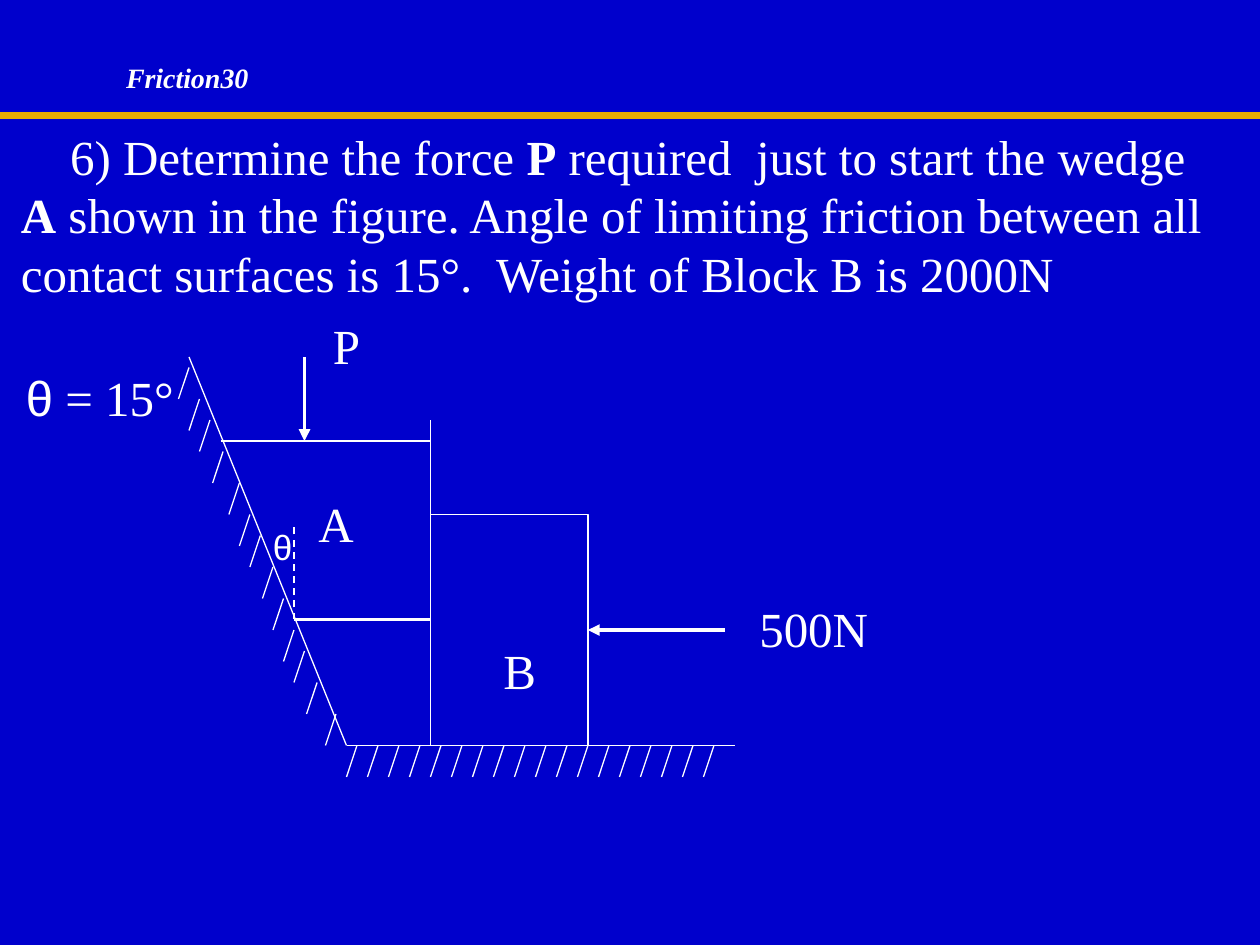
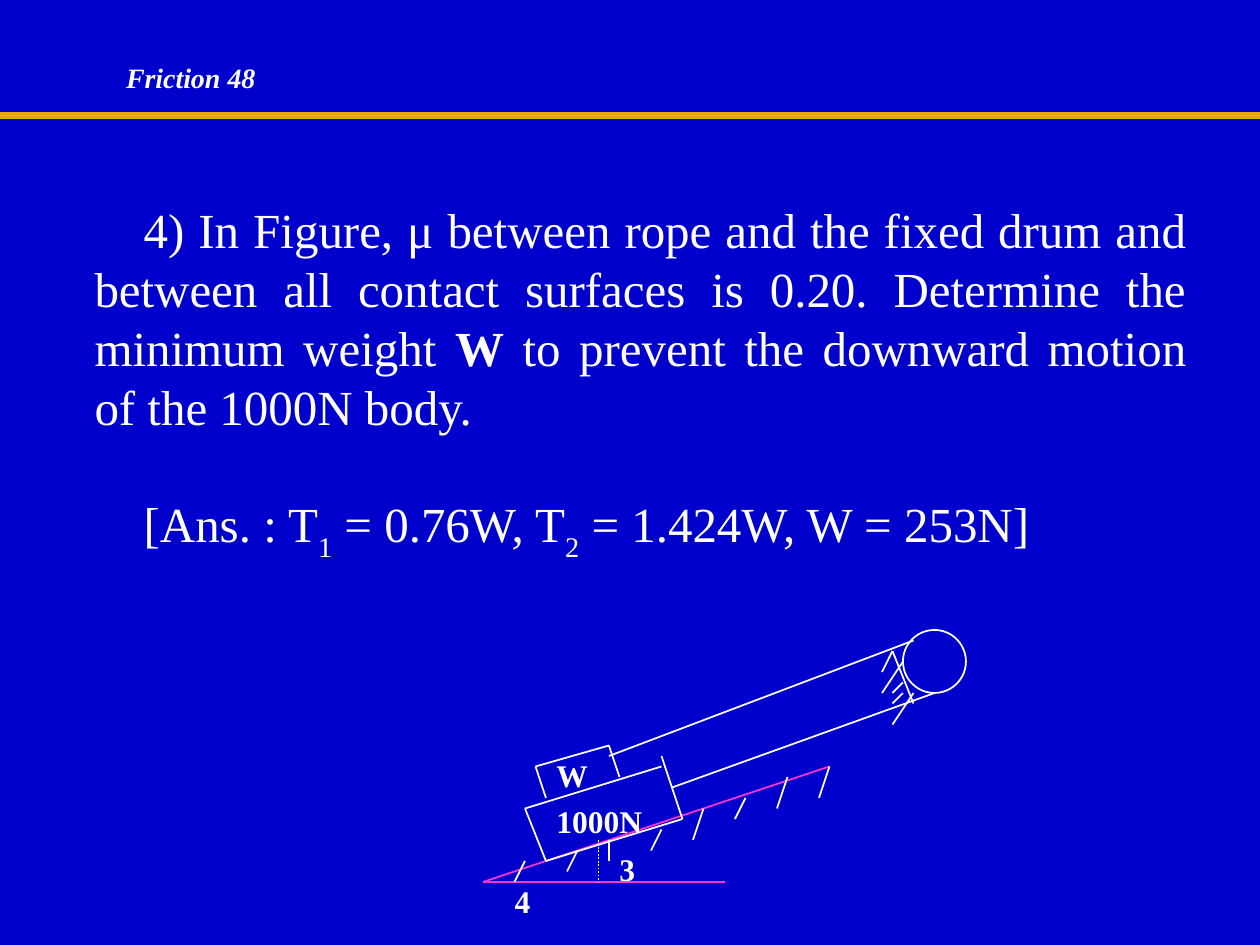
from pptx import Presentation
from pptx.dml.color import RGBColor
from pptx.enum.dml import MSO_LINE
from pptx.enum.shapes import MSO_CONNECTOR, MSO_SHAPE
from pptx.enum.text import MSO_ANCHOR, MSO_AUTO_SIZE, PP_ALIGN
from pptx.oxml.ns import qn
from pptx.util import Inches, Pt

BLUE = RGBColor(0x00, 0x00, 0xCC)
GOLD = RGBColor(0xE8, 0xAB, 0x00)
WHITE = RGBColor(0xFF, 0xFF, 0xFF)
PINK = RGBColor(0xFF, 0x33, 0xCC)

SERIF, SANS = "Times New Roman", "Arial"
LEFT, CENTER, JUSTIFY = PP_ALIGN.LEFT, PP_ALIGN.CENTER, PP_ALIGN.JUSTIFY
STRAIGHT = MSO_CONNECTOR.STRAIGHT
RECTANGLE, OVAL = MSO_SHAPE.RECTANGLE, MSO_SHAPE.OVAL
DASH, DOTS = MSO_LINE.DASH, MSO_LINE.ROUND_DOT
TOP, NO_AUTOSIZE = MSO_ANCHOR.TOP, MSO_AUTO_SIZE.NONE

COLUMNS, ROWS = 120, 90
CELL = Inches(10) // COLUMNS
THICK = 2.25
RIGHT_SIDE = 3


def add_run(p, text, size, font=SERIF, bold=False, italic=False, subscript=False):
    """Add one white run to a paragraph."""
    r = p.add_run()
    r.text = text
    r.font.name, r.font.size = font, Pt(size)
    r.font.bold, r.font.italic = bold, italic
    r.font.color.rgb = WHITE
    if subscript:
        r.font._element.set("baseline", "-30000")


def clear_frame(sp):
    """Return the shape's text frame, wrapped, top-anchored and without insets."""
    tf = sp.text_frame
    tf.word_wrap, tf.auto_size, tf.vertical_anchor = True, NO_AUTOSIZE, TOP
    tf.margin_left = tf.margin_top = tf.margin_right = tf.margin_bottom = 0
    return tf


class Region:
    """A part of a slide, measured in grid cells from its own corner."""

    def __init__(self, slide, left=0, top=0, weight=1):
        """Place the corner of the region and set its usual line weight."""
        self.shapes, self.left, self.top, self.weight = slide.shapes, left, top, weight

    def point(self, col, row):
        """Turn a cell position into a slide position."""
        return round((self.left + col) * CELL), round((self.top + row) * CELL)

    def line(self, start, end, color=WHITE, weight=None, dash=None, arrow=False):
        """Draw a straight line, with an arrowhead at its end if asked."""
        s = self.shapes.add_connector(STRAIGHT, *self.point(*start), *self.point(*end))
        s.line.color.rgb, s.line.width = color, Pt(weight or self.weight)
        if dash:
            s.line.dash_style = dash
        if arrow:
            ln = s.line._get_or_add_ln()
            ln.append(ln.makeelement(qn("a:tailEnd"), {"type": "triangle"}))
        spPr = s._element.spPr
        spPr.append(spPr.makeelement(qn("a:effectLst"), {}))
        return s

    def outline(self, *points):
        """Join successive points with lines."""
        for start, end in zip(points, points[1:]):
            self.line(start, end)

    def hatch(self, starts, across=-1, down=3):
        """Draw equal hatch strokes from each starting point."""
        for col, row in starts:
            self.line((col, row), (col + across, row + down))

    def shape(self, kind, col, row, width, height):
        """Draw an unfilled shape."""
        s = self.shapes.add_shape(kind, *self.point(col, row), width * CELL, height * CELL)
        s.shadow.inherit = False
        s.fill.background()
        s.line.color.rgb, s.line.width = WHITE, Pt(self.weight)
        return s

    def frame(self, col, row, width, height):
        """Add an empty text box and return its text frame."""
        return clear_frame(self.shapes.add_textbox(
            *self.point(col, row), round(width * CELL), round(height * CELL)))

    def label(self, text, col, row, width, size=28, align=CENTER, font=SERIF, bold=False):
        """Add a one-line label and return its paragraph."""
        p = self.frame(col, row, width, size / 5).paragraphs[0]
        p.alignment = align
        add_run(p, text, size, font, bold)
        return p


def add_problem_slide(prs, title):
    """Add a title-only slide with the shared title and gold rule."""
    slide = prs.slides.add_slide(prs.slide_layouts[5])
    s = slide.shapes.title
    s.left, s.top, s.width, s.height = Inches(1), Inches(0.48), Inches(1.67), Inches(0.27)
    p = clear_frame(s).paragraphs[0]
    p.alignment = LEFT
    add_run(p, title, 16, bold=True, italic=True)
    Region(slide).line((0, 11), (COLUMNS, 11), GOLD, 4.5)
    return slide


def add_statement(region, width, height, paragraphs, align=LEFT):
    """Write paragraphs of (text, format) runs with an indented first line."""
    tf = region.frame(0, 0, width, height)
    for i, runs in enumerate(paragraphs):
        p = tf.add_paragraph() if i else tf.paragraphs[0]
        p.alignment = align
        p._p.get_or_add_pPr().set("indent", str(Inches(0.39)))
        if i:
            p.space_before = Pt(33.5)
        for text, style in runs:
            add_run(p, text, 28, **style)


def draw_wedge(fig):
    """Draw wedge A between the sloping wall and block B."""
    fig.line((18, 4), (33, 41))
    fig.line((33, 41), (70, 41))
    fig.hatch([(18, 5), (19, 8), (20, 10), (21.25, 13), (22.8, 16), (23.8, 19), (24.8, 21),
               (26, 24), (27, 27), (28, 30), (29, 32), (30.2, 35), (32, 38)])
    fig.hatch([(col, 41) for col in range(34, 69, 2)])
    block_b = fig.shape(RECTANGLE, 41, 19, 15, 22)
    fig.line((21, 12), (41, 12))
    fig.line((41, 20), (41, 10))
    fig.line((28, 29), (41, 29), weight=THICK)
    fig.line((28, 29), (28, 20), weight=1, dash=DASH)
    fig.line((29, 4), (29, 12), weight=THICK, arrow=True)
    push = fig.line((69, 30), (56, 30), weight=THICK, arrow=True)
    push.end_connect(block_b, RIGHT_SIDE)
    for text, col, row, width in [("P", 31, 0, 4), ("A", 29, 17, 6),
                                  ("B", 45, 31, 9), ("500N", 69, 27, 17)]:
        fig.label(text, col, row, width)
    add_run(fig.label("θ", 0, 5, 19, font=SANS), " = 15°", 28)
    fig.label("θ", 26, 20, 2, size=20, align=LEFT, font=SANS)


def draw_incline(fig):
    """Draw the two bodies on the incline, roped over the fixed drum."""
    fig.line((0, 24), (33, 13), PINK)
    fig.line((0, 24), (23, 24), PINK)
    fig.outline((17, 13), (4, 17), (6, 22), (19, 18), (17, 12))
    fig.outline((6, 16), (5, 13), (12, 11), (13, 14))
    fig.shape(OVAL, 40, 0, 6, 6)
    fig.line((43, 6), (18, 15))
    fig.line((41, 1), (12, 12))
    fig.line((39, 2), (41, 7))
    fig.hatch([(39, 2)], down=2)
    fig.hatch([(40, 3)], across=-2)
    fig.hatch([(40, 5), (40, 6)], down=1)
    fig.hatch([(41, 6)], across=-2)
    fig.hatch([(33, 13), (29, 14), (21, 17)])
    fig.hatch([(25, 16), (17, 19), (9, 21), (4, 22)], down=2)
    fig.hatch([(12, 20)], across=0, down=2)
    fig.line((11, 20), (11, 24), dash=DOTS)
    for text, col, row, width in [("1000N", 7, 16.4, 16), ("W", 7, 12, 9),
                                  ("3", 13, 21, 6), ("4", 3, 24, 9)]:
        fig.label(text, col, row, width, size=18, align=LEFT, bold=True)


def main():
    """Build and save the two friction problems."""
    prs = Presentation()
    prs.slide_width, prs.slide_height = COLUMNS * CELL, ROWS * CELL
    fill = prs.slide_master.background.fill
    fill.solid()
    fill.fore_color.rgb = BLUE
    plain, bold, sub = {}, {"bold": True}, {"subscript": True}

    slide = add_problem_slide(prs, "Friction30")
    add_statement(Region(slide, 2, 12), 115, 22.4, [[
        ("6) Determine the force ", plain), ("P", bold),
        (" required  just to start the wedge ", plain), ("A", bold),
        (" shown in the figure. Angle of limiting friction between all contact "
         "surfaces is 15°.  Weight of Block B is 2000N", plain)]])
    draw_wedge(Region(slide, 0, 30, 0.75))

    slide = add_problem_slide(prs, "Friction 48")
    add_statement(Region(slide, 9, 19), 104, 40, [
        [("4) In Figure, μ between rope and the fixed drum and between all contact "
          "surfaces is 0.20. Determine the minimum weight ", plain), ("W", bold),
         (" to prevent the downward motion of the 1000N body.", plain)],
        [("[Ans. : T", plain), ("1", sub), (" = 0.76W, T", plain), ("2", sub),
         (" = 1.424W, W = 253N]", plain)]], JUSTIFY)
    draw_incline(Region(slide, 46, 60))

    prs.save("out.pptx")


if __name__ == "__main__":
    main()
